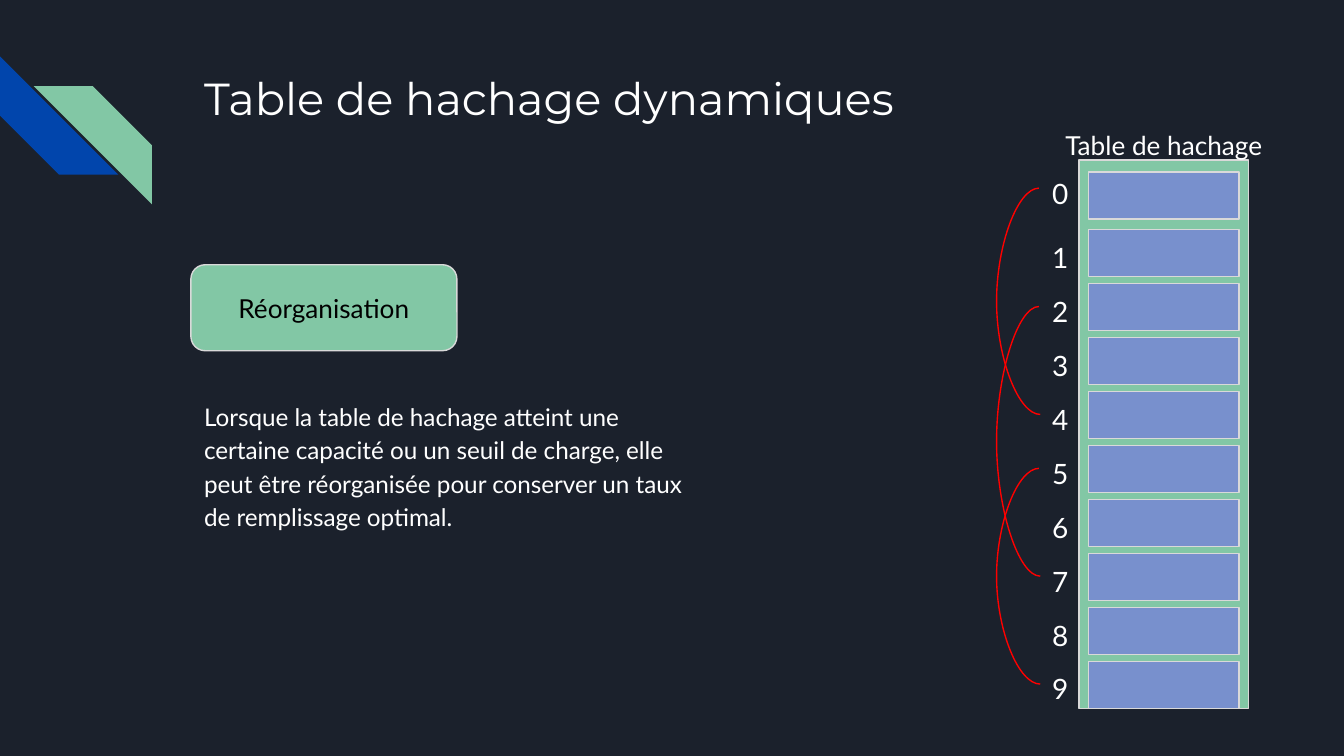
from lxml import etree
from pptx import Presentation
from pptx.dml.color import RGBColor
from pptx.enum.shapes import MSO_CONNECTOR, MSO_SHAPE as Preset
from pptx.enum.text import MSO_ANCHOR as Anchor, PP_ALIGN as Align
from pptx.oxml.ns import qn
from pptx.util import Inches, Pt

NIGHT = RGBColor(0x1B, 0x21, 0x2C)
BLUE = RGBColor(0x01, 0x45, 0xAC)
GREEN = RGBColor(0x82, 0xC7, 0xA5)
PERIWINKLE = RGBColor(0x78, 0x90, 0xCD)
GREY = RGBColor(0xD9, 0xD9, 0xD9)
RED = RGBColor(0xFF, 0x00, 0x00)
WHITE = RGBColor(0xFF, 0xFF, 0xFF)
BLACK = RGBColor(0x00, 0x00, 0x00)

# 16:9 slide
prs = Presentation()
prs.slide_width, prs.slide_height = Inches(10), Inches(10 * 9 / 16)
slide = prs.slides.add_slide(prs.slide_layouts[6])
slide.background.fill.solid()
slide.background.fill.fore_color.rgb = NIGHT


def add_block(preset, left, top, width, height, fill, outline=GREY):
    block = slide.shapes.add_shape(
        preset, Inches(left), Inches(top), Inches(width), Inches(height))
    block.shadow.inherit = False
    block.fill.solid()
    block.fill.fore_color.rgb = fill
    if outline is None:
        block.line.fill.background()
    else:
        block.line.color.rgb = outline
        block.line.width = Pt(0.75)
    return block


def write(shape, text, size, color=WHITE, font="Lato", align=Align.CENTER, anchor=Anchor.TOP):
    frame = shape.text_frame
    frame.word_wrap = True
    frame.vertical_anchor = anchor
    frame.margin_left = frame.margin_right = Inches(0.1)
    frame.margin_top = frame.margin_bottom = Inches(0.1)
    paragraph = frame.paragraphs[0]
    paragraph.alignment = align
    run = paragraph.add_run()
    run.text = text
    run.font.size = Pt(size)
    run.font.name = font
    run.font.color.rgb = color
    return paragraph


# Corner decoration
for left, top, color, turn in [(0, 0.42, BLUE, 270), (0.25, 0.64, GREEN, 90)]:
    stripe = add_block(Preset.DIAGONAL_STRIPE, left, top, 0.88, 0.88, color, None)
    stripe.rotation = turn

# Title and explanation
title = slide.shapes.add_textbox(Inches(1.42), Inches(0.43), Inches(7.7), Inches(1))
write(title, "Table de hachage dynamiques", 24, font="Montserrat", align=Align.LEFT)

explanation = slide.shapes.add_textbox(Inches(1.42), Inches(2.86), Inches(3.77), Inches(1.59))
sentence = write(
    explanation,
    "Lorsque la table de hachage atteint une certaine capacité ou un seuil de charge, "
    "elle peut être réorganisée pour conserver un taux de remplissage optimal.",
    13, align=Align.LEFT)
sentence.line_spacing = 1.15
sentence.space_after = Pt(12)

# Hash table frame and caption
add_block(Preset.RECTANGLE, 8.03, 1.19, 1.26, 4.08, GREEN)
caption = slide.shapes.add_textbox(Inches(7.81), Inches(0.86), Inches(1.7), Inches(0.3))
write(caption, "Table de hachage", 14)

# Slots and their indices; the first slot stands slightly apart
PITCH = (4.92 - 1.71) / 8
slot_tops = [1.28] + [1.71 + PITCH * i for i in range(9)]
index_tops = [1.21] + [1.69 + PITCH * i for i in range(9)]
for number, (slot_top, index_top) in enumerate(zip(slot_tops, index_tops)):
    add_block(Preset.RECTANGLE, 8.1, slot_top, 1.12, 0.35, PERIWINKLE)
    index = slide.shapes.add_textbox(
        Inches(7.73), Inches(index_top), Inches(0.25), Inches(0.38))
    write(index, str(number), 15)

# Operation name
operation = add_block(Preset.ROUNDED_RECTANGLE, 1.42, 1.97, 1.98, 0.64, GREEN)
write(operation, "Réorganisation", 14, BLACK, anchor=Anchor.MIDDLE)

# Moves between slots, bulging 0.32 inch to the left of a 0.01 inch wide curve
for start, end in [(0, 4), (2, 7), (5, 9)]:
    move = slide.shapes.add_connector(
        MSO_CONNECTOR.CURVE,
        Inches(7.73), Inches(index_tops[start] + 0.19),
        Inches(7.74), Inches(index_tops[end] + 0.19))
    move.line.color.rgb = RED
    move.line.width = Pt(0.75)
    properties = move._element.spPr
    etree.SubElement(properties, qn("a:effectLst"))
    bulge = etree.SubElement(properties.find(qn("a:prstGeom")).find(qn("a:avLst")), qn("a:gd"))
    bulge.set("name", "adj1")
    bulge.set("fmla", "val -3200000")

prs.save("out.pptx")
